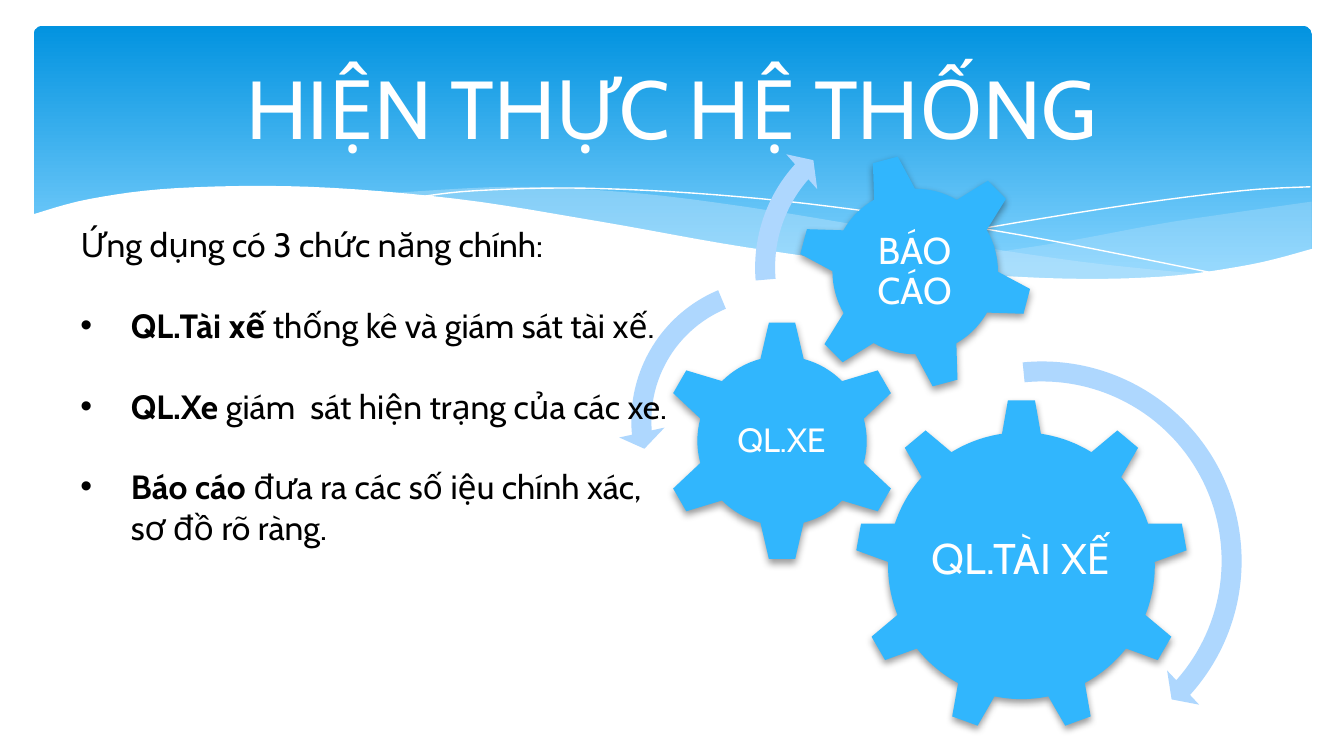
from lxml import etree
from pptx import Presentation
from pptx.dml.color import RGBColor
from pptx.enum.shapes import MSO_SHAPE
from pptx.enum.text import MSO_ANCHOR, MSO_AUTO_SIZE, PP_ALIGN
from pptx.oxml.ns import qn
from pptx.util import Pt

ROUND_RECT = MSO_SHAPE.ROUNDED_RECTANGLE
GEAR_6, GEAR_9 = MSO_SHAPE.GEAR_6, MSO_SHAPE.GEAR_9
ARROW, LEFT_ARROW = MSO_SHAPE.CIRCULAR_ARROW, MSO_SHAPE.LEFT_CIRCULAR_ARROW
MIDDLE, TOP = MSO_ANCHOR.MIDDLE, MSO_ANCHOR.TOP
CENTER, LEFT = PP_ALIGN.CENTER, PP_ALIGN.LEFT
GROW = MSO_AUTO_SIZE.SHAPE_TO_FIT_TEXT

FONT = "Cabin"
COLORS = {
    "white": "FFFFFF", "black": "000000", "gear": "31B6FD", "arrow": "AED7FE",
    "ribbon": "C6E7FC", "banner_top": "0293E0", "banner_bottom": "83D3FE",
}

RIGHT_TOP = [(702.7, 108), (652.3, 115.2), (619.9, 120.2), (560.9, 131), (475.9, 143.3)]
RIGHT_BOTTOM = [(475.9, 143.3), (527, 147.6), (586.1, 149.8), (640.1, 147.6),
                (683.3, 139), (702.7, 133.2)]
MIDDLE_TOP = [(643, 146.9), (580.3, 140.4), (508.3, 129.6), (452.9, 119.5),
              (389.5, 109.4), (334.8, 103), (273.6, 100.1), (205.9, 103.7)]
MIDDLE_BOTTOM = [(205.9, 103.7), (260.6, 109.4), (323.3, 119.5), (407.5, 133.9),
                 (478.8, 144), (547.9, 149.8), (603.4, 150.1), (643, 146.9)]
FALLING_LINE = [(222.5, 105.8), (254.2, 102.2), (311.8, 100.8), (383.8, 104.4),
                (457.9, 112.3), (547.2, 126), (653, 146.9)]
RISING_LINE = [(441.4, 138.2), (518.4, 123.8), (601.9, 110.2), (665.3, 102.2), (702, 100.1)]
WAVE = [(703.4, 133.2), (669.6, 141.8), (621.4, 148.3), (560.2, 149), (481, 143.3),
        (399.6, 132.5), (321.8, 118.8), (244.8, 106.6), (165.6, 100.1), (95, 100.8),
        (48.2, 106.6), (16.6, 115.2)]
WAVE_BASE = [(16.6, 177.8), (703.4, 177.8)]

GEARS = [
    (GEAR_9, (457.9, 213.8, 178.6), 0, "QL.TÀI XẾ", (493.9, 254.9, 106.6, 91.4), 23),
    (GEAR_6, (354.2, 171.4, 129.6), 0, "QL.XE", (386.6, 204.5, 64.1, 64.1), 18),
    (GEAR_6, (427, 82.1, 126.7), -15, "BÁO CÁO", (454.3, 110.2, 71.3, 71.3), 20),
]
ARROWS = [
    (ARROW, (444.2, 186.5, 228.2), (0.047, 2.99, 25.143, 158.652, 0.055)),
    (LEFT_ARROW, (331.2, 142.6, 165.6), (0.065, 4.3, 104.891, 148.378, 0.075)),
    (ARROW, (397.4, 54, 178.6), (0.06, 3.941, 133.138, 105.082, 0.07)),
]
INTRO = "Ứng dụng có 3 chức năng chính:"
FEATURES = [
    ("QL.Tài xế ", "thống kê và giám sát tài xế."),
    ("QL.Xe ", "giám  sát hiện trạng của các xe."),
    ("Báo cáo ", "đưa ra các số iệu chính xác, sơ đồ rõ ràng."),
]


def rgb(name):
    return RGBColor.from_string(COLORS[name])


def smooth(points, steps=6):
    ends = [points[0], *points, points[-1]]
    curve = [points[0]]
    for a, b, c, d in zip(ends, ends[1:], ends[2:], ends[3:]):
        for i in range(1, steps + 1):
            t = i / steps
            curve.append(tuple(
                q + t * (r - p) / 2 + t**2 * (2 * p - 5 * q + 4 * r - s) / 2
                + t**3 * (3 * q - p - 3 * r + s) / 2
                for p, q, r, s in zip(a, b, c, d)))
    return curve


def add_outline(s, points, close):
    path = [(Pt(x), Pt(y)) for x, y in points]
    builder = s.shapes.build_freeform(*path[0])
    builder.add_line_segments(path[1:], close=close)
    sp = builder.convert_to_shape()
    sp.shadow.inherit = False
    return sp


def add_area(s, points, color, alpha=100):
    sp = add_outline(s, points, True)
    sp.fill.solid()
    sp.fill.fore_color.rgb = rgb(color)
    sp.line.fill.background()
    if alpha < 100:
        clr = sp.element.spPr.find(".//" + qn("a:srgbClr"))
        etree.SubElement(clr, qn("a:alpha"), val=str(alpha * 1000))


def add_hairline(s, points):
    sp = add_outline(s, smooth(points), False)
    sp.fill.background()
    sp.line.color.rgb = rgb("white")
    sp.line.width = Pt(0)


def add_preset(s, kind, box, color):
    sp = s.shapes.add_shape(kind, *map(Pt, box))
    sp.shadow.inherit = False
    sp.fill.solid()
    sp.fill.fore_color.rgb = rgb(color)
    sp.line.fill.background()
    return sp


def add_text(s, box, anchor, inset=None):
    tf = s.shapes.add_textbox(*map(Pt, box)).text_frame
    tf.word_wrap = True
    tf.vertical_anchor = anchor
    if inset is not None:
        tf.margin_left = tf.margin_right = tf.margin_top = tf.margin_bottom = Pt(inset)
    return tf


def format_paragraph(p, size, color, align=LEFT):
    p.alignment = align
    for r in p.runs:
        r.font.name = FONT
        r.font.size = Pt(size)
        r.font.color.rgb = rgb(color)


def add_banner(s):
    sp = add_preset(s, ROUND_RECT, (18, 13.7, 684.7, 145.4), "banner_top")
    sp.adjustments[0] = 0.034
    sp.fill.gradient()
    sp.fill.gradient_angle = 270
    stops = zip(sp.fill.gradient_stops, ("banner_top", "banner_bottom"), (0, 0.9))
    for stop, color, position in stops:
        stop.color.rgb = rgb(color)
        stop.position = position
    add_area(s, smooth(RIGHT_TOP) + smooth(RIGHT_BOTTOM), "ribbon", 29)
    add_area(s, smooth(MIDDLE_TOP) + smooth(MIDDLE_BOTTOM), "ribbon", 40)
    add_hairline(s, FALLING_LINE)
    add_hairline(s, RISING_LINE)
    add_area(s, smooth(WAVE) + WAVE_BASE, "white")


def add_title(s):
    tf = add_text(s, (36, 20.2, 648, 74.2), MIDDLE)
    tf.text = "HIỆN THỰC HỆ THỐNG"
    format_paragraph(tf.paragraphs[0], 44, "white", CENTER)


def add_gear(s, kind, place, rotation, label, label_box, size):
    sp = add_preset(s, kind, (*place, place[-1]), "gear")
    sp.rotation = rotation
    effects = sp.element.spPr.find(qn("a:effectLst"))
    shadow = etree.SubElement(effects, qn("a:outerShdw"), blurRad=str(Pt(4)),
                              dist=str(Pt(2)), dir="5400000", rotWithShape="0")
    clr = etree.SubElement(shadow, qn("a:srgbClr"), val=COLORS["black"])
    etree.SubElement(clr, qn("a:alpha"), val="38000")
    tf = add_text(s, label_box, MIDDLE, 2.2)
    tf.text = label
    tf.paragraphs[0].line_spacing = 0.9
    format_paragraph(tf.paragraphs[0], size, "white", CENTER)


def add_arrow(s, kind, place, adjustments):
    sp = add_preset(s, kind, (*place, place[-1]), "arrow")
    for i, value in enumerate(adjustments):
        sp.adjustments[i] = value


def add_features(s):
    tf = add_text(s, (36, 116.6, 329.8, 181.4), TOP)
    tf.auto_size = GROW
    tf.text = INTRO
    format_paragraph(tf.paragraphs[0], 18, "black")
    for name, detail in FEATURES:
        p = tf.add_paragraph()
        p.text = name
        p.runs[0].font.bold = True
        p.add_run().text = detail
        p.space_before = Pt(21.6)
        format_paragraph(p, 18, "black")
        pPr = p.runs[0].font and p._p.get_or_add_pPr()
        pPr.set("marL", str(Pt(27)))
        pPr.set("indent", str(Pt(-27)))
        etree.SubElement(pPr, qn("a:buFont"), typeface="Arial")
        etree.SubElement(pPr, qn("a:buChar"), char="•")


def main():
    prs = Presentation()
    prs.slide_width, prs.slide_height = Pt(720), Pt(405)
    s = prs.slides.add_slide(prs.slide_layouts[6])
    add_banner(s)
    add_title(s)
    for gear in GEARS:
        add_gear(s, *gear)
    for arrow in ARROWS:
        add_arrow(s, *arrow)
    add_features(s)
    prs.save("out.pptx")


if __name__ == "__main__":
    main()
